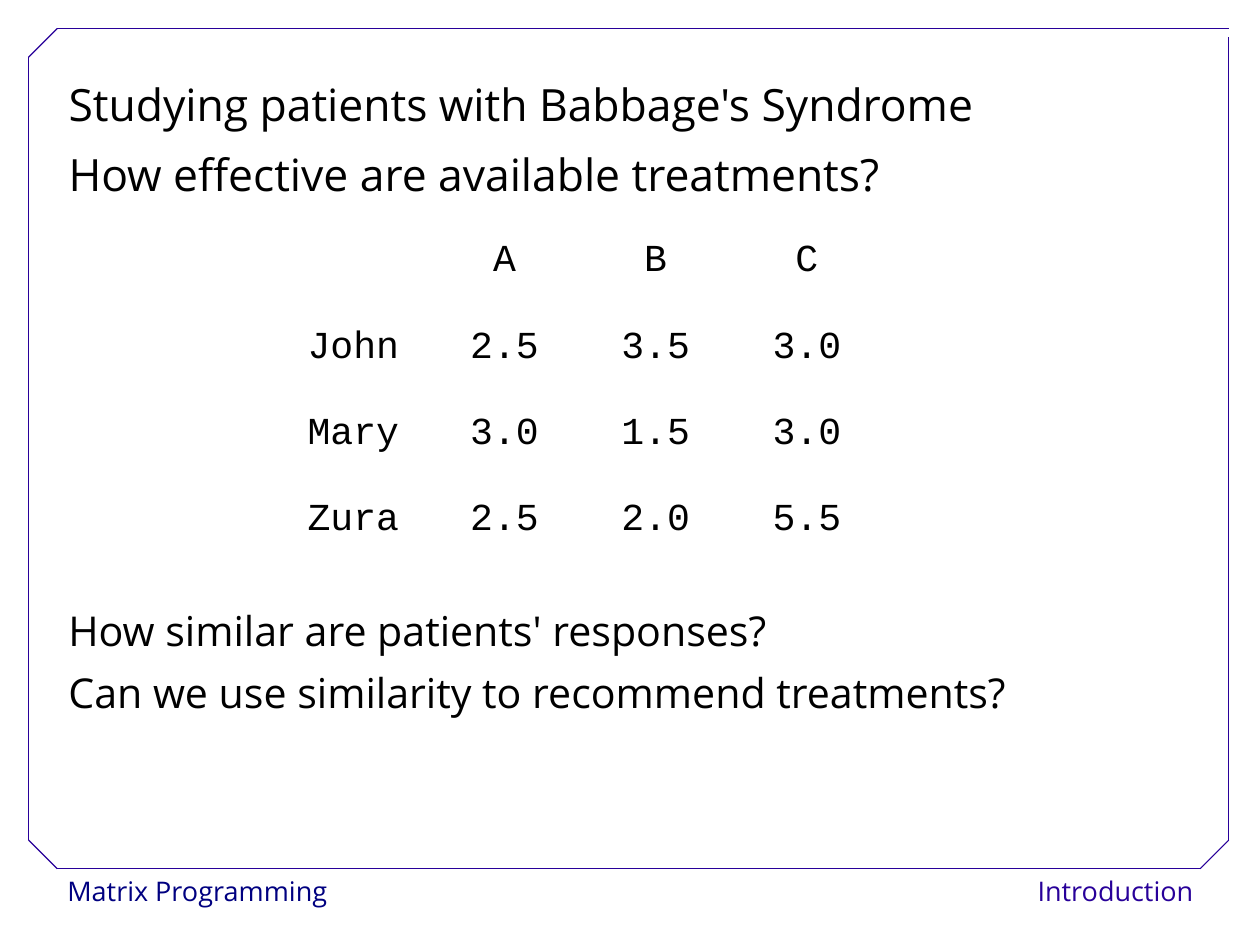
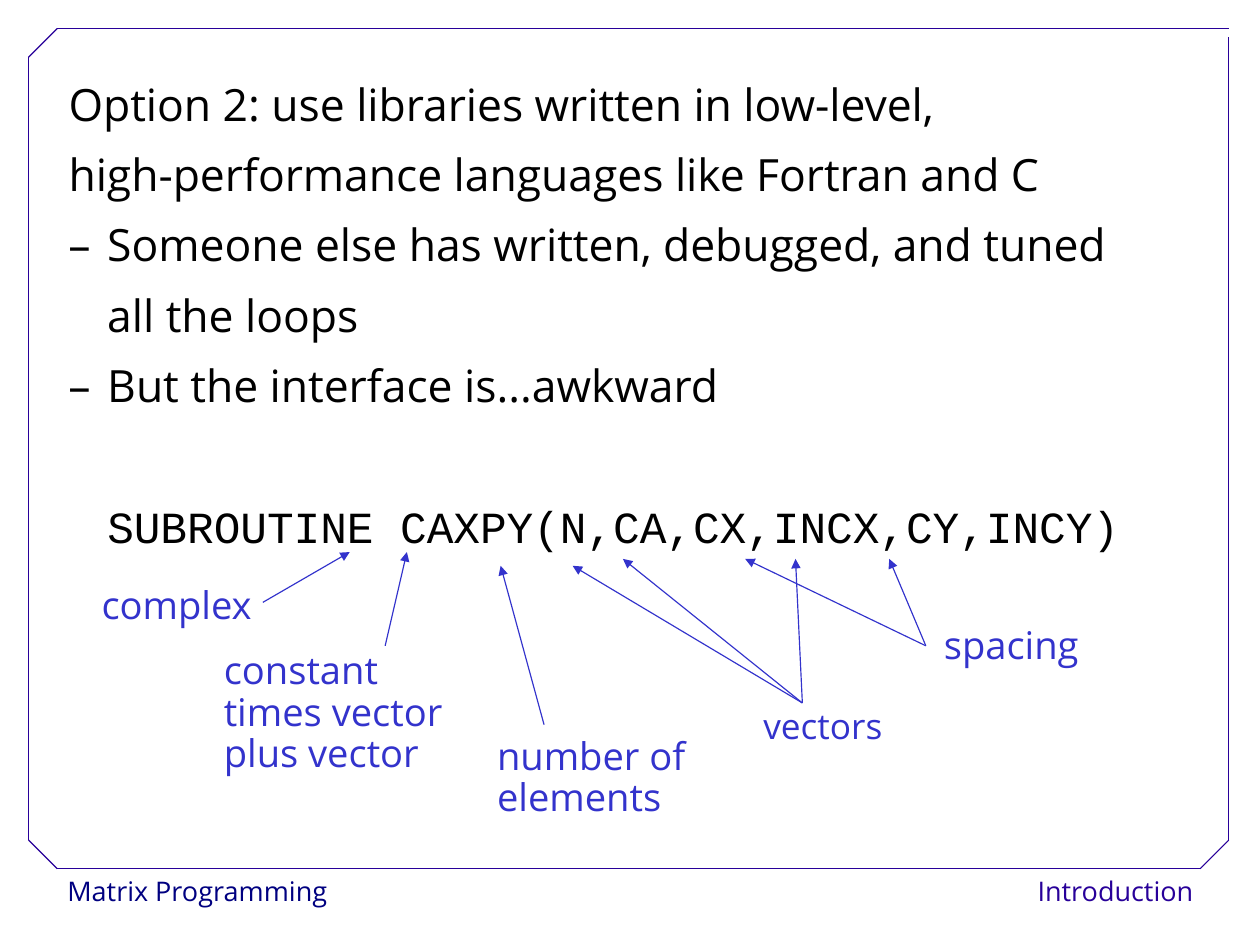
from lxml import etree
from pptx import Presentation
from pptx.dml.color import RGBColor
from pptx.enum.shapes import MSO_CONNECTOR, MSO_SHAPE
from pptx.enum.text import MSO_ANCHOR, MSO_AUTO_SIZE, PP_ALIGN
from pptx.oxml.ns import qn
from pptx.util import Cm, Inches, Pt

WIDTH, HEIGHT = Cm(28), Cm(21)
LEFT_MARGIN, TOP_MARGIN = 0.5, 0.67
INDENT = 0.34
LINE_FACTOR = 1.2
PARAGRAPH_GAP = 14.2
TITLE_ONLY = 5

BLACK = RGBColor(0x00, 0x00, 0x00)
WHITE = RGBColor(0xFF, 0xFF, 0xFF)
NAVY = RGBColor(0x00, 0x00, 0x80)
INDIGO = RGBColor(0x28, 0x00, 0x99)
BLUE = RGBColor(0x33, 0x33, 0xCC)
SANS, MONO = "Open Sans", "Courier New"

STRAIGHT = MSO_CONNECTOR.STRAIGHT
RECTANGLE = MSO_SHAPE.RECTANGLE
LEFT, CENTER, RIGHT = PP_ALIGN.LEFT, PP_ALIGN.CENTER, PP_ALIGN.RIGHT
TOP = MSO_ANCHOR.TOP
NO_AUTOFIT = MSO_AUTO_SIZE.NONE


def inches(values):
    return [Inches(value) for value in values]


def format_paragraph(paragraph, size, color=BLACK, font=SANS, align=LEFT,
                     spacing=None, gap=0):
    """Style one paragraph; spacing is a share of the normal line height."""
    paragraph.alignment = align
    paragraph.space_before = Pt(0)
    paragraph.space_after = Pt(gap)
    if spacing:
        paragraph.line_spacing = Pt(round(size * LINE_FACTOR * spacing, 1))
    for run in paragraph.runs:
        run.font.size = Pt(size)
        run.font.name = font
        run.font.color.rgb = color


def fill_text(shape, lines, size, wrap=True, **style):
    frame = shape.text_frame
    frame.word_wrap = wrap
    frame.auto_size = NO_AUTOFIT
    frame.vertical_anchor = TOP
    frame.text = "\n".join(lines)
    for paragraph in frame.paragraphs:
        format_paragraph(paragraph, size, **style)
    return frame


def add_text(slide, box, lines, size, **style):
    return fill_text(slide.shapes.add_textbox(*inches(box)), lines, size, **style)


def add_line(slide, start, end, color, arrow=False):
    line = slide.shapes.add_connector(STRAIGHT, *inches((*start, *end)))
    line.line.color.rgb = color
    line.line.width = Pt(0.75)
    if arrow:
        outline = line.line._get_or_add_ln()
        etree.SubElement(outline, qn("a:tailEnd"), type="triangle")
    etree.SubElement(line._element.spPr, qn("a:effectLst"))
    return line


def add_footer(slide, box, text, color, align):
    footer = slide.shapes.add_shape(RECTANGLE, *inches(box))
    footer.shadow.inherit = False
    footer.fill.solid()
    footer.fill.fore_color.rgb = WHITE
    footer.line.fill.background()
    fill_text(footer, [text], 17, wrap=False, color=color, align=align, spacing=1.02)
    return footer


def add_frame(slide):
    """Draw the cut-corner frame, open at the top right, and the footers."""
    edge, cut, gap = 0.25, 0.25, 0.07
    right, bottom = 10.75, 7.6
    sides = [
        ((edge + cut, bottom), (right - cut, bottom)),
        ((edge, bottom - cut), (edge, edge + cut)),
        ((edge + cut, edge), (right, edge)),
        ((right, bottom - cut), (right, edge + gap)),
        ((edge, edge + cut), (edge + cut, edge)),
        ((right - cut, bottom), (right, bottom - cut)),
        ((edge, bottom - cut), (edge + cut, bottom)),
    ]
    return [
        add_footer(slide, (0.49, bottom, 2.15, 0.4), "Matrix Programming", NAVY, LEFT),
        add_footer(slide, (9.14, bottom, 1.4, 0.4), "Introduction", INDIGO, RIGHT),
        *(add_line(slide, start, end, INDIGO) for start, end in sides),
    ]


def move_to_layout(shapes, layout):
    first_id = max(shape.shape_id for shape in layout.shapes) + 1
    for number, shape in enumerate(shapes, first_id):
        shape._element._nvXxPr.cNvPr.set("id", str(number))
        layout.shapes._spTree.append(shape._element)


def add_titled_slide(presentation, lines):
    slide = presentation.slides.add_slide(presentation.slide_layouts[TITLE_ONLY])
    title = slide.shapes.title
    title.left, title.top, title.width, title.height = inches(
        (LEFT_MARGIN, TOP_MARGIN, 9.93, 1.26))
    fill_text(title, lines, 28, spacing=0.9, gap=PARAGRAPH_GAP)
    return slide


def add_treatment_table(slide, box, rows):
    shape = slide.shapes.add_table(len(rows), len(rows[0]), *inches(box))
    table = shape.table
    table.first_row = table.horz_banding = False
    for row_index, row in enumerate(rows):
        for column_index, text in enumerate(row):
            cell = table.cell(row_index, column_index)
            cell.fill.background()
            cell.text = text
            format_paragraph(cell.text_frame.paragraphs[0], 24, font=MONO, align=CENTER)


def add_dash_list(slide, box, items):
    """Items are (text, dashed); undashed ones continue the item above."""
    frame = add_text(slide, box, [text for text, _ in items], 28,
                     spacing=0.9, gap=PARAGRAPH_GAP)
    for paragraph, (_, dashed) in zip(frame.paragraphs, items):
        properties = paragraph._p.get_or_add_pPr()
        properties.set("marL", str(Inches(INDENT)))
        properties.set("indent", str(-Inches(INDENT) if dashed else 0))
        if dashed:
            etree.SubElement(properties, qn("a:buFont"), typeface=SANS)
            etree.SubElement(properties, qn("a:buChar"), char="–")


def add_callout(slide, box, lines, start, targets, size=24, spacing=0.9):
    """Place a label and its arrows from one start to every target."""
    add_text(slide, box, lines, size, color=BLUE, spacing=spacing)
    for target in targets:
        add_line(slide, start, target, BLUE, arrow=True)


def build_patients_slide(presentation):
    slide = add_titled_slide(presentation, [
        "Studying patients with Babbage's Syndrome",
        "How effective are available treatments?",
    ])
    add_treatment_table(slide, (2.43, 2.05, 5.29, 3.02), [
        ("", "A", "B", "C"),
        ("John", "2.5", "3.5", "3.0"),
        ("Mary", "3.0", "1.5", "3.0"),
        ("Zura", "2.5", "2.0", "5.5"),
    ])
    add_text(slide, (LEFT_MARGIN, 5.33, 9, 1.26), [
        "How similar are patients' responses?",
        "Can we use similarity to recommend treatments?",
    ], 25.9, spacing=0.8, gap=PARAGRAPH_GAP)
    return slide


def build_libraries_slide(presentation):
    slide = add_titled_slide(presentation, [
        "Option 2: use libraries written in low-level,",
        "high-performance languages like Fortran and C",
    ])
    add_dash_list(slide, (LEFT_MARGIN, 1.9, 9.93, 1.95), [
        ("Someone else has written, debugged, and tuned", True),
        ("all the loops", False),
        ("But the interface is...awkward", True),
    ])
    add_text(slide, (LEFT_MARGIN + INDENT, 4.32, 9.59, 0.56),
             ["SUBROUTINE CAXPY(N,CA,CX,INCX,CY,INCY)"], 28, font=MONO)

    add_callout(slide, (0.79, 5.08, 1.57, 0.5), ["complex"],
                (2.3, 5.27), [(3.06, 4.83)])
    add_callout(slide, (1.86, 5.65, 2.39, 1.26),
                ["constant", "times vector", "plus vector"],
                (3.37, 5.65), [(3.56, 4.83)])
    add_callout(slide, (4.25, 6.4, 2.39, 0.88), ["number of", "elements"],
                (4.76, 6.34), [(4.38, 4.95)])
    add_callout(slide, (6.58, 6.15, 1.32, 0.57), ["vectors"],
                (7.02, 6.15), [(5.01, 4.95), (5.45, 4.89), (6.96, 4.89)], size=22.2)
    add_callout(slide, (8.16, 5.39, 1.83, 0.57), ["spacing"],
                (8.1, 5.65), [(6.52, 4.89), (7.78, 4.89)], spacing=1)


def main():
    presentation = Presentation()
    presentation.slide_width = WIDTH
    presentation.slide_height = HEIGHT
    patients_slide = build_patients_slide(presentation)
    move_to_layout(add_frame(patients_slide), patients_slide.slide_layout)
    build_libraries_slide(presentation)
    presentation.save("out.pptx")


if __name__ == "__main__":
    main()
